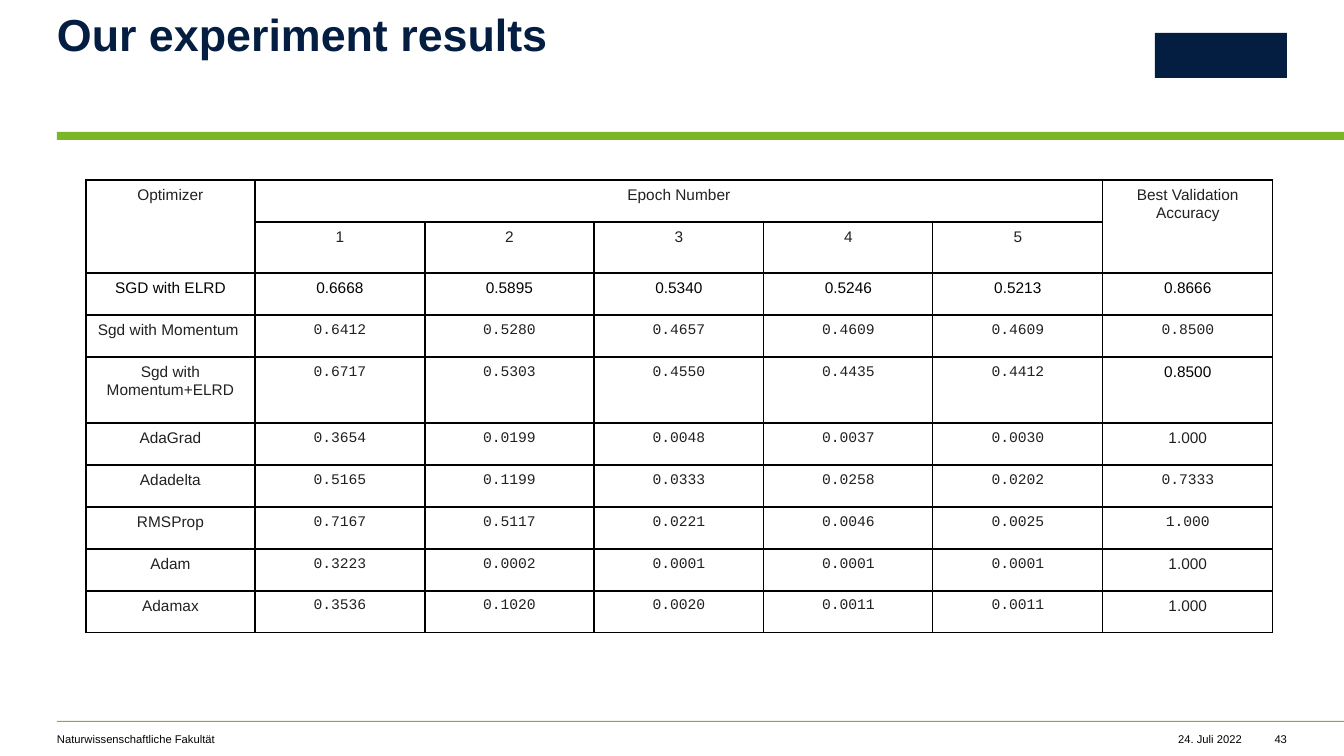
import pptx
import pptx.dml.color
import pptx.enum.shapes
import pptx.enum.text
import pptx.oxml
import pptx.oxml.ns
import pptx.util

RGBColor = pptx.dml.color.RGBColor
ALIGN = pptx.enum.text.PP_ALIGN
EMU_PER_PX = 914400 / 100.8

NAVY = RGBColor(0x04, 0x1E, 0x42)
GREEN = RGBColor(0x7B, 0xB7, 0x25)
BLACK = RGBColor(0, 0, 0)
GRAY = RGBColor(0x21, 0x21, 0x21)
WHITE = RGBColor(0xFF, 0xFF, 0xFF)

# Font formats
TITLE = {"name": "Arial", "size": pptx.util.Pt(32), "bold": True}
FOOTER = {"name": "Arial", "size": pptx.util.Pt(8)}
PLAIN = {"name": "Arial", "size": pptx.util.Pt(11)}
MONO = {"name": "Courier New", "size": pptx.util.Pt(10.5)}

# Table content
HEADER = ["Optimizer", "Epoch Number", "", "", "", "", "Best Validation Accuracy"]
EPOCHS = ["", "1", "2", "3", "4", "5", ""]
RESULTS = [
    ["SGD with ELRD", "0.6668", "0.5895", "0.5340", "0.5246", "0.5213", "0.8666"],
    ["Sgd with Momentum ", "0.6412", "0.5280", "0.4657", "0.4609", "0.4609", "0.8500"],
    ["Sgd with Momentum+ELRD", "0.6717", "0.5303", "0.4550", "0.4435", "0.4412", "0.8500"],
    ["AdaGrad", "0.3654", "0.0199", "0.0048", "0.0037", "0.0030", "1.000"],
    ["Adadelta", "0.5165", "0.1199", "0.0333", "0.0258", "0.0202", "0.7333"],
    ["RMSProp", "0.7167", "0.5117", "0.0221", "0.0046", "0.0025", "1.000"],
    ["Adam", "0.3223", "0.0002", "0.0001", "0.0001", "0.0001", "1.000"],
    ["Adamax", "0.3536", "0.1020", "0.0020", "0.0011", "0.0011", "1.000"],
]
ROWS = [HEADER, EPOCHS] + RESULTS
ROW_HEIGHTS = [42, 48, 42, 42, 66, 42, 42, 42, 42, 42]
TABLE_WIDTH = 1187
ELRD_ROW = 2
BLACK_CELLS = {(ELRD_ROW, c) for c in range(7)} | {(4, 6)}
MONO_BEST_ROWS = {3, 6, 7}


def px(n):
    return pptx.util.Emu(round(n * EMU_PER_PX))


def set_font(font, fmt, color):
    for key, value in fmt.items():
        setattr(font, key, value)
    font.color.rgb = color


def add_bar(s, x, y, w, h, color):
    sp = s.shapes.add_shape(pptx.enum.shapes.MSO_SHAPE.RECTANGLE,
                            px(x), px(y), px(w), px(h))
    sp.shadow.inherit = False
    sp.fill.solid()
    sp.fill.fore_color.rgb = color
    sp.line.fill.background()


def add_text(s, text, x, y, w, h, fmt, color, align=ALIGN.LEFT, wrap=True, spacing=1.0):
    tf = s.shapes.add_textbox(px(x), px(y), px(w), px(h)).text_frame
    tf.word_wrap = wrap
    for side in ("left", "right", "top", "bottom"):
        setattr(tf, "margin_" + side, 0)
    p = tf.paragraphs[0]
    p.alignment = align
    p.line_spacing = spacing
    r = p.add_run()
    r.text = text
    set_font(r.font, fmt, color)


def add_borders(cell):
    tc_pr = cell._tc.get_or_add_tcPr()
    for i, side in enumerate(("lnL", "lnR", "lnT", "lnB")):
        tc_pr.insert(i, pptx.oxml.parse_xml(
            f'<a:{side} {pptx.oxml.ns.nsdecls("a")} w="12700"><a:solidFill>'
            f'<a:srgbClr val="{BLACK}"/></a:solidFill></a:{side}>'))


def cell_format(row, col):
    mono = row > ELRD_ROW and (0 < col < 6 or col == 6 and row in MONO_BEST_ROWS)
    return (MONO if mono else PLAIN), (BLACK if (row, col) in BLACK_CELLS else GRAY)


def fill_cell(cell, text, fmt, color):
    cell.fill.solid()
    cell.fill.fore_color.rgb = WHITE
    for side in ("left", "right", "top", "bottom"):
        setattr(cell, "margin_" + side, px(7))
    add_borders(cell)
    p = cell.text_frame.paragraphs[0]
    p.alignment = ALIGN.CENTER
    set_font(p.font, fmt, color)
    if text:
        r = p.add_run()
        r.text = text
        set_font(r.font, fmt, color)


def add_results_table(s, x, y):
    n = len(HEADER)
    table = s.shapes.add_table(len(ROWS), n, px(x), px(y),
                               px(TABLE_WIDTH), px(sum(ROW_HEIGHTS))).table
    table.first_row = table.horz_banding = False
    edges = [TABLE_WIDTH * i // n for i in range(n + 1)]
    for i in range(n):
        table.columns[i].width = px(edges[i + 1] - edges[i])
    for i, height in enumerate(ROW_HEIGHTS):
        table.rows[i].height = px(height)
    for i, row in enumerate(ROWS):
        for j, text in enumerate(row):
            fill_cell(table.cell(i, j), text, *cell_format(i, j))
    for first, last in (((0, 0), (1, 0)), ((0, 1), (0, 5)), ((0, 6), (1, 6))):
        table.cell(*first).merge(table.cell(*last))


def main():
    prs = pptx.Presentation()
    prs.slide_width, prs.slide_height = px(1344), px(756)
    s = prs.slides.add_slide(prs.slide_layouts[6])

    # Header and footer rules, emblem block
    add_bar(s, 57, 132, 1287, 8, GREEN)
    add_bar(s, 57, 721, 1287, 1, GREEN)
    add_bar(s, 1155, 33, 132, 45, NAVY)

    # Title
    add_text(s, "Our experiment results", 57, 13, 888, 48, TITLE, NAVY, spacing=0.9)

    # Footer
    add_text(s, "24. Juli 2022", 1176, 732, 66, 13, FOOTER, BLACK, ALIGN.RIGHT, False)
    add_text(s, "Naturwissenschaftliche Fakultät", 57, 732, 603, 13, FOOTER, BLACK)
    add_text(s, "43", 1273, 732, 14, 13, FOOTER, BLACK, ALIGN.RIGHT, False)

    # Results
    add_results_table(s, 86, 180)

    prs.save("out.pptx")


if __name__ == "__main__":
    main()
